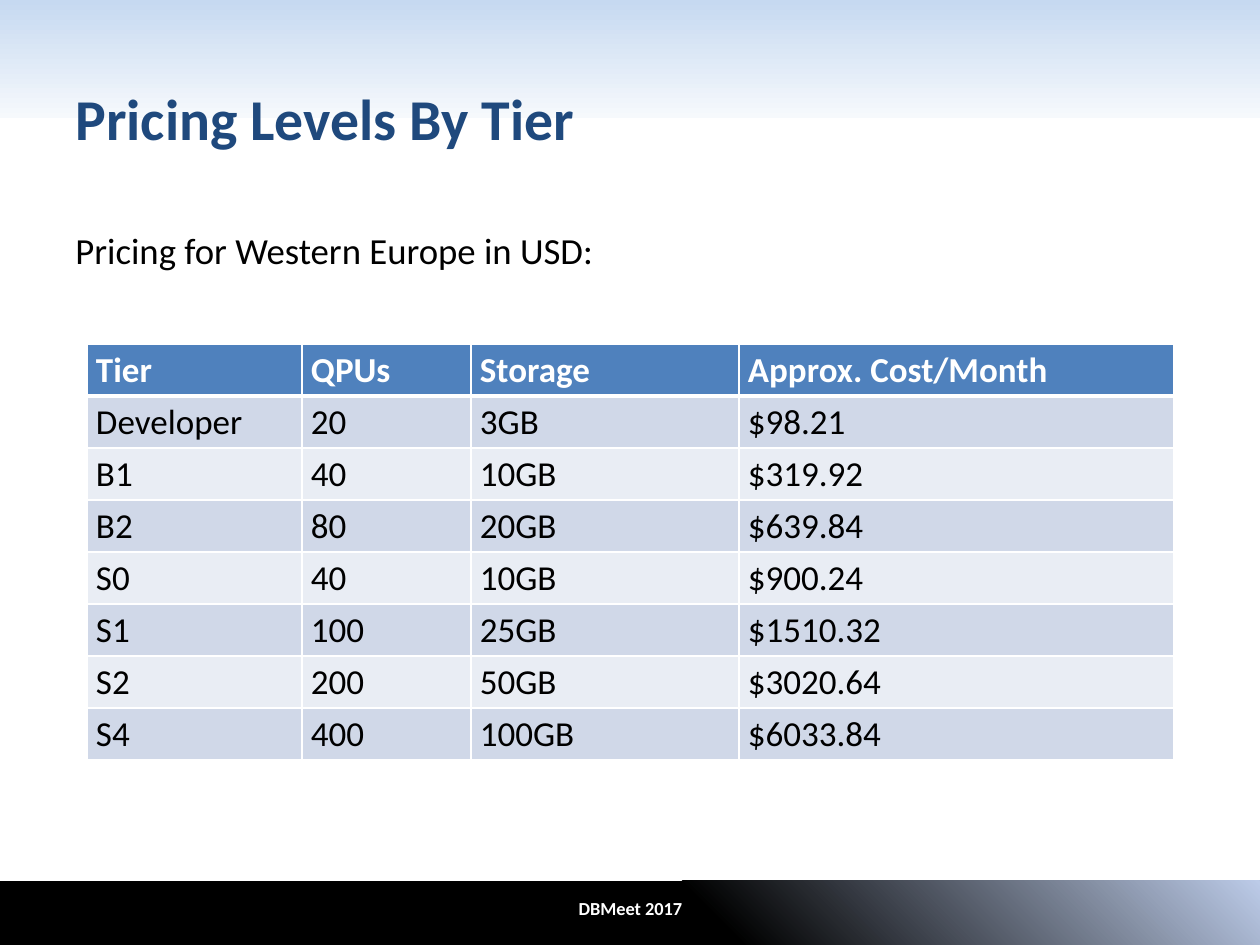
import dataclasses
import typing

import pptx
import pptx.dml.color
import pptx.enum.shapes
import pptx.enum.text
import pptx.oxml
import pptx.oxml.ns
import pptx.util

SCALE = 914400 // 126
ALIGN = pptx.enum.text.PP_ALIGN
MIDDLE = pptx.enum.text.MSO_ANCHOR.MIDDLE
TOP = pptx.enum.text.MSO_ANCHOR.TOP


@dataclasses.dataclass
class Box:
    x: int
    y: int
    w: int
    h: int


@dataclasses.dataclass
class Band:
    box: Box
    angle: int
    stops: list[tuple[float, str]]


@dataclasses.dataclass
class Style:
    size: float
    color: str
    bold: bool = False
    align: typing.Any = ALIGN.LEFT


BANDS = [
    Band(Box(0, 0, 1260, 118), 270, [(0, "C6D9F1"), (1, "F6F9FC")]),
    Band(Box(0, 881, 1260, 64), 45, [(0.56, "000000"), (1, "BCCBE8")]),
]
HEAD = Style(20, "FFFFFF", True)
CELL = Style(20, "000000")
COLS = [215, 169, 268, 435]
ROW = 52
DATA = [
    ("Tier", "QPUs", "Storage", "Approx. Cost/Month"),
    ("Developer", "20", "3GB", "$98.21"),
    ("B1", "40", "10GB", "$319.92"),
    ("B2", "80", "20GB", "$639.84"),
    ("S0", "40", "10GB", "$900.24"),
    ("S1", "100", "25GB", "$1510.32"),
    ("S2", "200", "50GB", "$3020.64"),
    ("S4", "400", "100GB", "$6033.84"),
]


def px(count: int) -> int:
    return pptx.util.Emu(count * SCALE)


def tint(code: str) -> pptx.dml.color.RGBColor:
    return pptx.dml.color.RGBColor.from_string(code)


def apply(item: typing.Any, values: dict[str, typing.Any]) -> None:
    for name, value in values.items():
        setattr(item, name, value)


def edges(box: Box) -> list[int]:
    return [px(n) for n in (box.x, box.y, box.w, box.h)]


def write(frame: typing.Any, text: str, style: Style) -> None:
    frame.text = text
    line = frame.paragraphs[0]
    line.alignment = style.align
    font = line.runs[0].font
    apply(font, {"name": "Calibri", "size": pptx.util.Pt(style.size), "bold": style.bold})
    font.color.rgb = tint(style.color)


def paint(page: typing.Any, band: Band) -> None:
    kind = pptx.enum.shapes.MSO_SHAPE.RECTANGLE
    shape = page.shapes.add_shape(kind, *edges(band.box))
    shape.shadow.inherit = False
    shape.line.fill.background()
    shape.fill.gradient()
    shape.fill.gradient_angle = band.angle
    for stop, (place, code) in zip(shape.fill.gradient_stops, band.stops):
        stop.position = place
        stop.color.rgb = tint(code)


def label(page: typing.Any, box: Box, text: str, style: Style, anchor: typing.Any) -> None:
    frame = page.shapes.add_textbox(*edges(box)).text_frame
    apply(frame, {"word_wrap": True, "vertical_anchor": anchor})
    write(frame, text, style)


def border(cell: typing.Any, side: str, width: int) -> None:
    space = pptx.oxml.ns.nsdecls("a")
    line = pptx.oxml.parse_xml(
        f'<a:{side} {space} w="{pptx.util.Pt(width)}"><a:solidFill>'
        f'<a:srgbClr val="FFFFFF"/></a:solidFill></a:{side}>'
    )
    props = cell._tc.get_or_add_tcPr()
    props.insert(["lnL", "lnR", "lnT", "lnB"].index(side), line)


def fill(cell: typing.Any, text: str, row: int) -> None:
    margins = {"left": 9, "right": 9, "top": 5, "bottom": 4}
    apply(cell, {f"margin_{side}": px(gap) for side, gap in margins.items()})
    write(cell.text_frame, text, CELL if row else HEAD)
    code = ("D0D8E8" if row % 2 else "E9EDF4") if row else "4F81BD"
    cell.fill.solid()
    cell.fill.fore_color.rgb = tint(code)
    widths = {"lnL": 1, "lnR": 1, "lnT": 3 if row == 1 else 1, "lnB": 1 if row else 3}
    for side, width in widths.items():
        border(cell, side, width)


def grid(page: typing.Any) -> None:
    box = Box(87, 344, sum(COLS), ROW * len(DATA))
    table = page.shapes.add_table(len(DATA), len(COLS), *edges(box)).table
    for col, width in zip(table.columns, COLS):
        col.width = px(width)
    for row, texts in enumerate(DATA):
        table.rows[row].height = px(ROW)
        for col, text in enumerate(texts):
            fill(table.cell(row, col), text, row)


def main() -> None:
    deck = pptx.Presentation()
    apply(deck, {"slide_width": px(1260), "slide_height": px(945)})
    page = deck.slides.add_slide(deck.slide_layouts[5])
    for band in BANDS:
        paint(page, band)
    label(page, Box(352, 882, 557, 53), "DBMeet 2017",
          Style(10.5, "FFFFFF", True, ALIGN.CENTER), MIDDLE)

    title = page.shapes.title
    page.shapes.element.append(title.element)
    apply(title, dict(zip(("left", "top", "width", "height"), edges(Box(63, 38, 1134, 158)))))
    title.text_frame.vertical_anchor = MIDDLE
    write(title.text_frame, "Pricing Levels By Tier", Style(33, "1F497D", True))

    label(page, Box(63, 222, 1134, 100), "Pricing for Western Europe in USD:",
          Style(21, "000000"), TOP)
    grid(page)
    deck.save("out.pptx")


if __name__ == "__main__":
    main()
